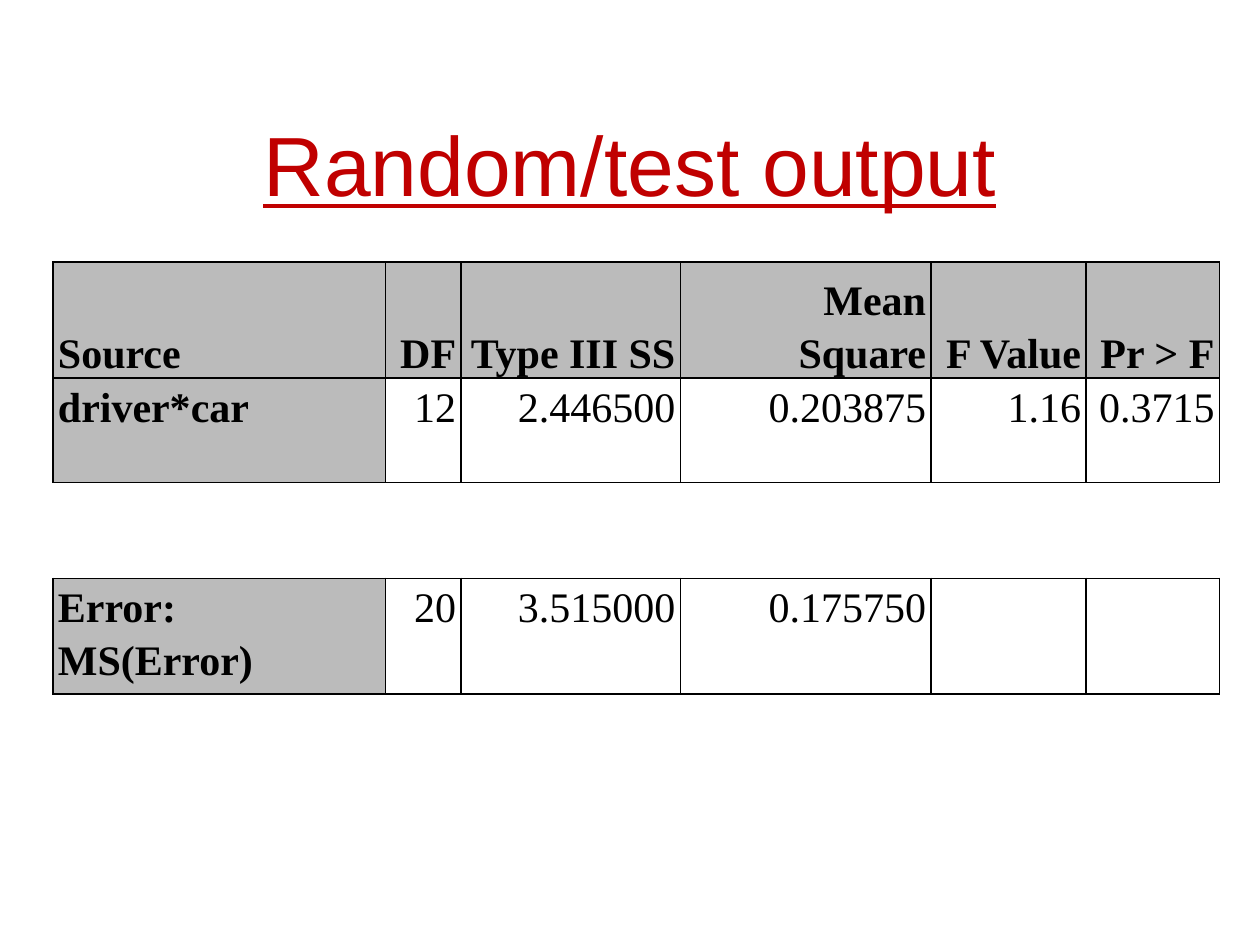
"""Build a slide with the random/test output table of a mixed model."""
from lxml.etree import SubElement
from pptx import Presentation
from pptx.dml.color import RGBColor
from pptx.enum.text import MSO_ANCHOR, PP_ALIGN
from pptx.oxml.ns import qn
from pptx.util import Inches, Pt

TITLE = "Random/test output"
ROWS = [
    ["Source", "DF", "Type III SS", "Mean Square", "F Value", "Pr > F"],
    ["driver*car", "12", "2.446500", "0.203875", "1.16", "0.3715"],
    [],
    ["Error: MS(Error)", "20", "3.515000", "0.175750", "", ""],
]
COL_WIDTHS = [2.64, 0.6, 1.74, 1.99, 1.23, 1.06]
ROW_HEIGHTS = [0.92, 0.83, 0.76, 0.92]
COLORS = {"title": "C00000", "text": "000000", "label": "BBBBBB", "value": "FFFFFF"}


def color(name):
    return RGBColor.from_string(COLORS[name])


def add_run(p, text, font, size, name):
    r = p.add_run()
    r.text = text
    r.font.name, r.font.size = font, Pt(size)
    r.font.color.rgb = color(name)
    return r


def set_borders(cell, visible_sides):
    tc_pr = cell._tc.get_or_add_tcPr()
    for side in "LRTB":
        ln = SubElement(tc_pr, qn(f"a:ln{side}"), w=str(Pt(1)))
        if side in visible_sides:
            fill = SubElement(ln, qn("a:solidFill"))
            SubElement(fill, qn("a:srgbClr"), val=COLORS["text"])
        else:
            SubElement(ln, qn("a:noFill"))


def fill_cell(cell, text, is_header, is_label):
    set_borders(cell, "LRTB")
    cell.fill.solid()
    cell.fill.fore_color.rgb = color("label" if is_header or is_label else "value")
    cell.margin_left = cell.margin_right = Inches(0.04)
    cell.margin_top = cell.margin_bottom = 0
    cell.vertical_anchor = MSO_ANCHOR.BOTTOM if is_header else MSO_ANCHOR.TOP
    if text:
        p = cell.text_frame.paragraphs[0]
        p.alignment = PP_ALIGN.LEFT if is_label else PP_ALIGN.RIGHT
        p.line_spacing = 1.15
        p.space_before = p.space_after = Pt(3)
        r = add_run(p, text, "Times New Roman", 24, "text")
        r.font.bold = is_header or is_label


def add_title(s):
    title = s.shapes.title
    title.left, title.top = Inches(0.75), Inches(0.67)
    title.width, title.height = Inches(8.5), Inches(1.25)
    tf = title.text_frame
    tf.vertical_anchor = MSO_ANCHOR.MIDDLE
    p = tf.paragraphs[0]
    p.alignment = PP_ALIGN.CENTER
    add_run(p, TITLE, "Arial", 48, "title").font.underline = True


def add_output_table(s):
    frame = s.shapes.add_table(
        len(ROWS), len(COL_WIDTHS), Inches(0.42), Inches(2.08),
        Inches(sum(COL_WIDTHS)), Inches(sum(ROW_HEIGHTS)))
    table = frame.table
    table.first_row = table.horz_banding = False
    for column, width in zip(table.columns, COL_WIDTHS):
        column.width = Inches(width)
    for i, (row, height, texts) in enumerate(zip(table.rows, ROW_HEIGHTS, ROWS)):
        row.height = Inches(height)
        for j, cell in enumerate(row.cells):
            if texts:
                fill_cell(cell, texts[j], i == 0, j == 0)
            else:
                set_borders(cell, "TB")
                cell.fill.background()


def main():
    prs = Presentation()
    prs.slide_width, prs.slide_height = Inches(10), Inches(7.5)
    s = prs.slides.add_slide(prs.slide_layouts[5])
    add_title(s)
    add_output_table(s)
    prs.save("out.pptx")


if __name__ == "__main__":
    main()
